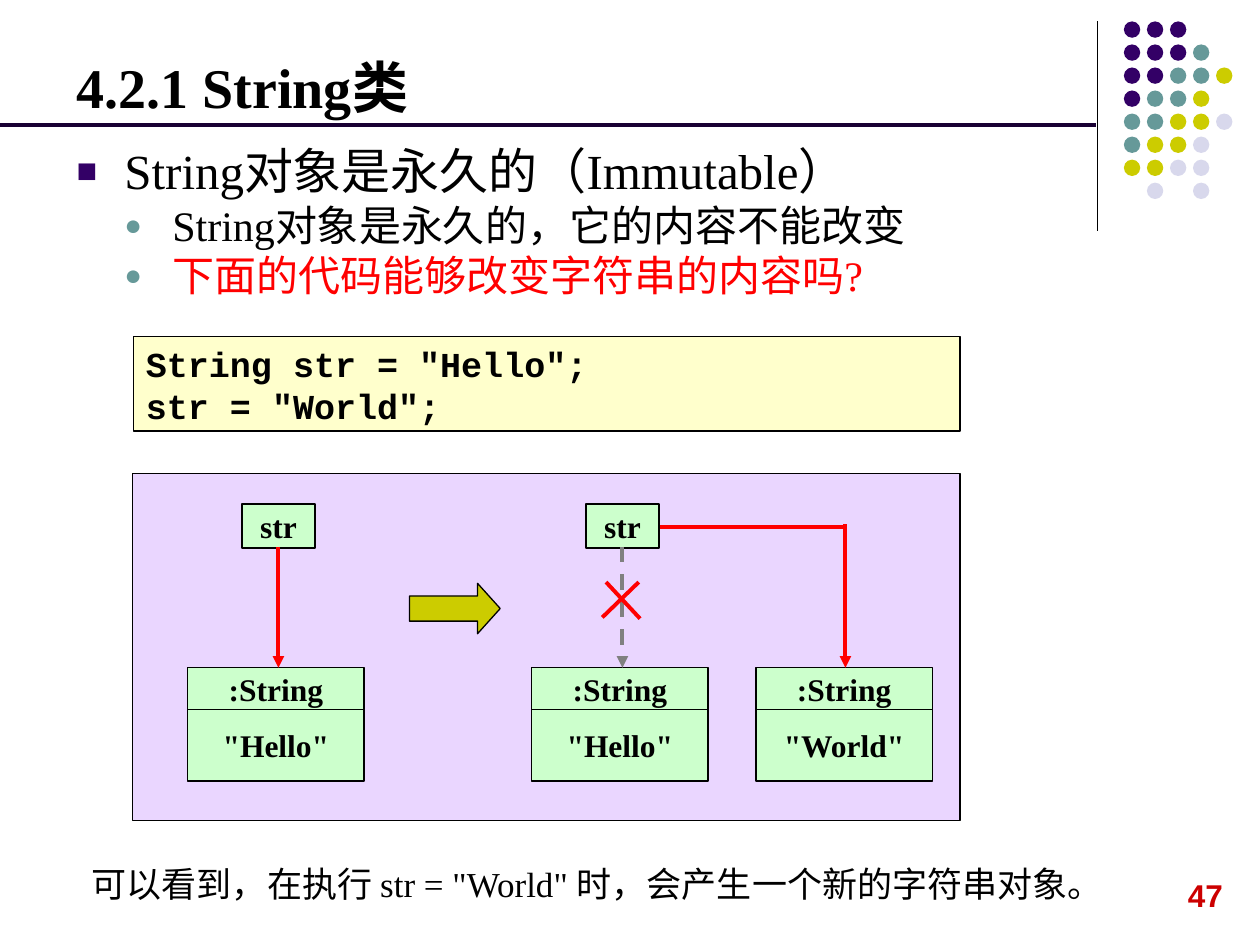
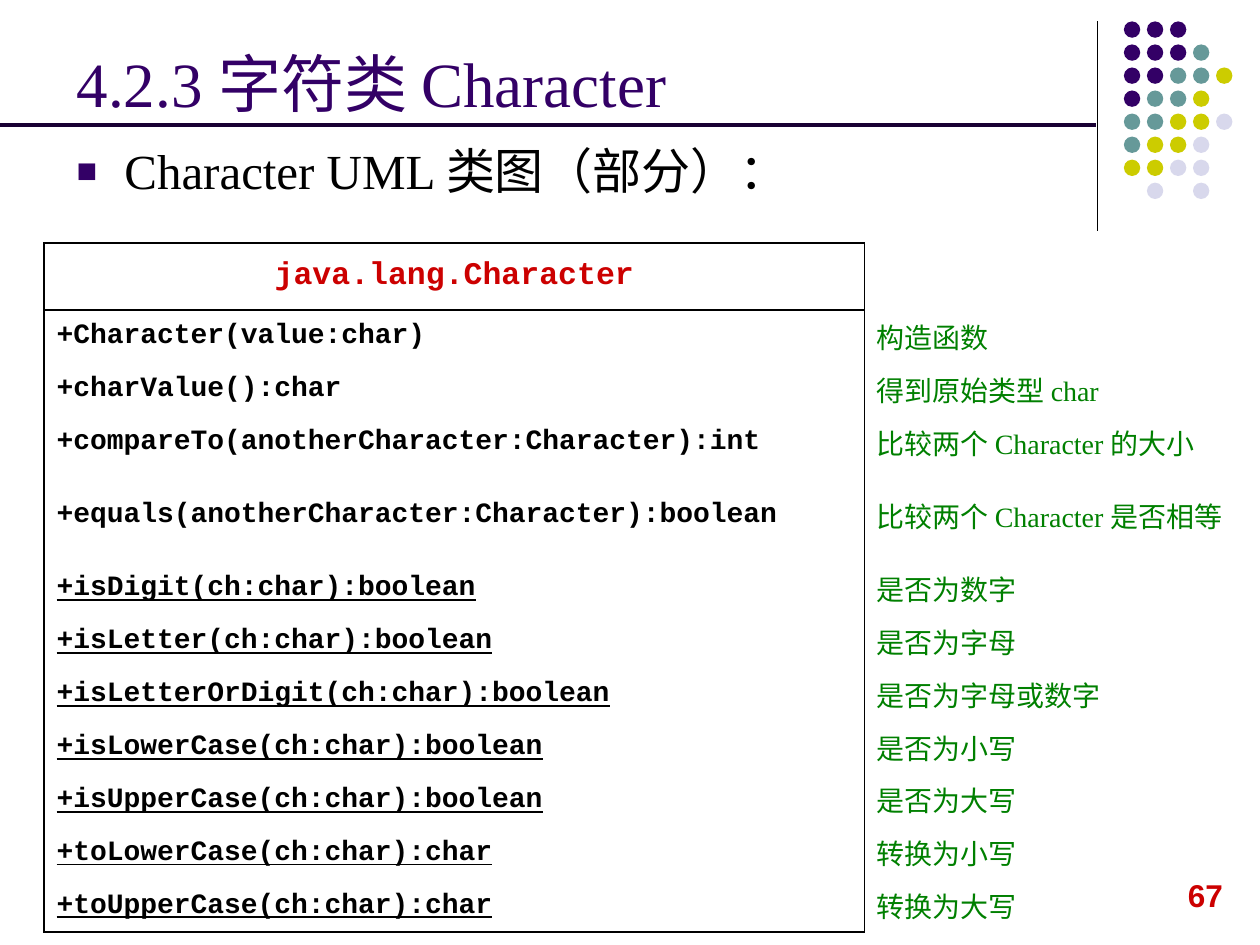
import dataclasses

import pptx
import pptx.dml.color
import pptx.enum.dml
import pptx.enum.shapes
import pptx.enum.text
import pptx.oxml.ns
import pptx.util
from lxml import etree

Inches = pptx.util.Inches
Pt = pptx.util.Pt
SHAPE = pptx.enum.shapes.MSO_SHAPE
ALIGN = pptx.enum.text.PP_ALIGN
ANCHOR = pptx.enum.text.MSO_ANCHOR
qn = pptx.oxml.ns.qn


@dataclasses.dataclass(frozen=True)
class Theme:
    ink: str = "000000"
    purple: str = "330066"
    teal: str = "669999"
    olive: str = "CCCC00"
    mist: str = "D8D8EC"
    rule: str = "190033"
    red: str = "FF0000"
    crimson: str = "CC0000"
    gray: str = "808080"
    green: str = "008000"
    mint: str = "CCFFCC"
    cream: str = "FFFFCC"
    lilac: str = "CC99FF"
    serif: str = "Times New Roman"
    mono: str = "Courier New"
    sans: str = "Arial"
    title: int = 36
    title_bold: int = 32
    body: int = 28
    sub: int = 24
    note: int = 20
    label: int = 18
    cell: int = 16
    thin: float = 0.75
    thick: float = 2.25


THEME = Theme()
DOT_ROWS = ["PPP", "PPPT", "PPTTO", "PTTO", "TTOOM", "TOOM", "OOMM", " M M"]
DOT_COLORS = {"P": THEME.purple, "T": THEME.teal, "O": THEME.olive, "M": THEME.mist}

MEMBERS = [
    ("+Character(value:char)", "构造函数"),
    ("+charValue():char", "得到原始类型 char"),
    ("+compareTo(anotherCharacter:Character):int", "比较两个 Character 的大小"),
    ("+equals(anotherCharacter:Character):boolean", "比较两个 Character 是否相等"),
]
STATIC_MEMBERS = [
    ("+isDigit(ch:char):boolean", "是否为数字"),
    ("+isLetter(ch:char):boolean", "是否为字母"),
    ("+isLetterOrDigit(ch:char):boolean", "是否为字母或数字"),
    ("+isLowerCase(ch:char):boolean", "是否为小写"),
    ("+isUpperCase(ch:char):boolean", "是否为大写"),
    ("+toLowerCase(ch:char):char", "转换为小写"),
    ("+toUpperCase(ch:char):char", "转换为大写"),
]


def rgb(color):
    return pptx.dml.color.RGBColor.from_string(color)


def write(p, text, size=THEME.label, color=THEME.ink, font=THEME.serif,
          bold=False, underline=False, align=None):
    p.alignment = align
    r = p.add_run()
    r.text = text
    r.font.size = Pt(size)
    r.font.name = font
    r.font.bold = bold
    r.font.underline = underline
    r.font.color.rgb = rgb(color)


class Deck:
    def __init__(self, theme):
        self.theme = theme
        self.prs = pptx.Presentation()
        self.prs.slide_width = Inches(10)
        self.prs.slide_height = Inches(7.5)
        self.s = None

    def slide(self, title, number, **title_format):
        t = self.theme
        self.s = self.prs.slides.add_slide(self.prs.slide_layouts[6])
        self.line((8.71, 0.17), (8.71, 1.83), t.ink, t.thin)
        for row, marks in enumerate(DOT_ROWS):
            for col, mark in enumerate(marks):
                if mark in DOT_COLORS:
                    self.shape((8.92 + col * 1.28 / 7, 0.17 + row * 1.28 / 7, 0.13, 0.13),
                               DOT_COLORS[mark], kind=SHAPE.OVAL, outline=False)
        self.text((9.33, 6.9, 0.51, 0.4), [number], wrap=False, size=t.label,
                  color=t.crimson, font=t.sans, bold=True)
        self.text((0.51, 0.21, 8.25, 0.79), [title], anchor=ANCHOR.BOTTOM, **title_format)
        self.line((0, 0.99), (8.7, 0.99), t.rule, t.thick)

    def fill_text(self, tf, lines, anchor=ANCHOR.TOP, wrap=True, **fmt):
        tf.word_wrap = wrap
        tf.vertical_anchor = anchor
        for i, line in enumerate(lines):
            write(tf.add_paragraph() if i else tf.paragraphs[0], line, **fmt)

    def text(self, box, lines, **fmt):
        sp = self.s.shapes.add_textbox(*map(Inches, box))
        self.fill_text(sp.text_frame, lines, **fmt)

    def shape(self, box, fill, lines=(), kind=SHAPE.RECTANGLE, outline=True, alpha=None, **fmt):
        sp = self.s.shapes.add_shape(kind, *map(Inches, box))
        sp.shadow.inherit = False
        sp.fill.solid()
        sp.fill.fore_color.rgb = rgb(fill)
        if alpha:
            clr = sp.fill._xPr.find(qn("a:solidFill"))[0]
            etree.SubElement(clr, qn("a:alpha"), val=str(alpha * 1000))
        if outline:
            sp.line.color.rgb = rgb(self.theme.ink)
            sp.line.width = Pt(self.theme.thin)
        else:
            sp.line.fill.background()
        self.fill_text(sp.text_frame, lines, **fmt)
        return sp

    def label(self, box, text):
        self.shape(box, self.theme.mint, [text], anchor=ANCHOR.MIDDLE,
                   bold=True, align=ALIGN.CENTER)

    def line(self, start, end, color, width=THEME.thick, arrow=False, dash=False):
        cx = self.s.shapes.add_connector(pptx.enum.shapes.MSO_CONNECTOR.STRAIGHT,
                                         *map(Inches, start + end))
        cx.line.color.rgb = rgb(color)
        cx.line.width = Pt(width)
        if dash:
            cx.line.dash_style = pptx.enum.dml.MSO_LINE.DASH
        if arrow:
            etree.SubElement(cx.line._get_or_add_ln(), qn("a:tailEnd"), type="triangle")
        etree.SubElement(cx._element.spPr, qn("a:effectLst"))

    def bullets(self, items, height):
        t = self.theme
        sp = self.s.shapes.add_textbox(*map(Inches, (0.51, 1.07, 9, height)))
        tf = sp.text_frame
        tf.word_wrap = True
        for i, (level, text, color) in enumerate(items):
            p = tf.add_paragraph() if i else tf.paragraphs[0]
            size = t.sub if level else t.body
            if i:
                p.space_before = Pt(size * 0.2)
                p.line_spacing = 0.83
            p.level = level
            pPr = p._p.get_or_add_pPr()
            pPr.set("marL", str(Inches(0.38 * (level + 1))))
            pPr.set("indent", str(Inches(-0.38)))
            clr = etree.SubElement(pPr, qn("a:buClr"))
            etree.SubElement(clr, qn("a:srgbClr"), val=t.teal if level else t.purple)
            etree.SubElement(pPr, qn("a:buSzPct"), val="70000")
            etree.SubElement(pPr, qn("a:buFont"), typeface=t.sans)
            etree.SubElement(pPr, qn("a:buChar"), char="●" if level else "■")
            write(p, text, size=size, color=color)

    def object_box(self, left, value):
        self.label((left, 5.3, 1.4, 0.33), ":String")
        self.label((left, 5.63, 1.4, 0.57), value)

    def cell(self, cell, text, edges, **fmt):
        tcPr = cell._tc.get_or_add_tcPr()
        for edge in "LRTB":
            ln = etree.SubElement(tcPr, qn("a:ln" + edge), w=str(Pt(1)))
            if edge in edges:
                solid = etree.SubElement(ln, qn("a:solidFill"))
                etree.SubElement(solid, qn("a:srgbClr"), val=self.theme.ink)
            else:
                etree.SubElement(ln, qn("a:noFill"))
        cell.fill.background()
        cell.vertical_anchor = ANCHOR.MIDDLE
        if text:
            write(cell.text_frame.paragraphs[0], text, **fmt)

    def class_table(self, name, members, static_members):
        t = self.theme
        rows = members + static_members
        heights = [0.53] + [0.42] * len(rows)
        heights[len(members)] = 0.74
        frame = self.s.shapes.add_table(len(heights), 2, *map(Inches, (0.35, 1.93, 9.53, sum(heights))))
        table = frame.table
        table.first_row = table.horz_banding = False
        for column, width in zip(table.columns, (6.51, 3.02)):
            column.width = Inches(width)
        for row, height in zip(table.rows, heights):
            row.height = Inches(height)
        self.cell(table.cell(0, 0), name, "LRTB", size=t.label, font=t.mono,
                  color=t.crimson, bold=True, align=ALIGN.CENTER)
        self.cell(table.cell(0, 1), "", "L")
        for i, (signature, meaning) in enumerate(rows, 1):
            edges = "LR" + ("T" if i == 1 else "") + ("B" if i == len(rows) else "")
            self.cell(table.cell(i, 0), signature, edges, size=t.cell, font=t.mono,
                      bold=True, underline=i > len(members))
            self.cell(table.cell(i, 1), meaning, "L", size=t.cell, color=t.green)


def string_slide(deck):
    t = deck.theme
    deck.slide("4.2.1 String类", "47", size=t.title_bold, bold=True)
    deck.bullets([
        (0, "String对象是永久的（Immutable）", t.ink),
        (1, "String对象是永久的，它的内容不能改变", t.ink),
        (1, "下面的代码能够改变字符串的内容吗?", t.red),
    ], 2.46)
    deck.shape((1.06, 2.67, 6.56, 0.75), t.cream, ['String str = "Hello";', 'str = "World";'],
               size=t.note, font=t.mono, bold=True, align=ALIGN.LEFT)
    deck.shape((1.05, 3.76, 6.57, 2.75), t.lilac, alpha=40)
    for left, value in ((1.49, '"Hello"'), (4.22, '"Hello"'), (6, '"World"')):
        deck.object_box(left, value)
    for left in (1.92, 4.65):
        deck.label((left, 4, 0.58, 0.35), "str")
    deck.line((2.21, 4.34), (2.21, 5.3), t.red, arrow=True)
    deck.line((6.71, 4.16), (6.71, 5.3), t.red, arrow=True)
    deck.line((5.24, 4.18), (6.69, 4.18), t.red)
    deck.line((4.94, 4.34), (4.94, 5.3), t.gray, arrow=True, dash=True)
    deck.line((4.81, 4.62), (5.08, 4.91), t.red)
    deck.line((4.78, 4.9), (5.07, 4.62), t.red)
    arrow = deck.shape((3.25, 4.63, 0.72, 0.4), t.olive, kind=SHAPE.RIGHT_ARROW)
    arrow.adjustments[1] = 0.45
    deck.text((0.63, 6.8, 8.29, 0.44),
              ['可以看到，在执行 str = "World" 时，会产生一个新的字符串对象。'],
              wrap=False, size=t.note)


def character_slide(deck):
    t = deck.theme
    deck.slide("4.2.3 字符类 Character", "67", size=t.title, color=t.purple)
    deck.bullets([(0, "Character UML 类图（部分）：", t.ink)], 5.67)
    deck.class_table("java.lang.Character", MEMBERS, STATIC_MEMBERS)


def main():
    deck = Deck(THEME)
    string_slide(deck)
    character_slide(deck)
    deck.prs.save("out.pptx")


if __name__ == "__main__":
    main()
